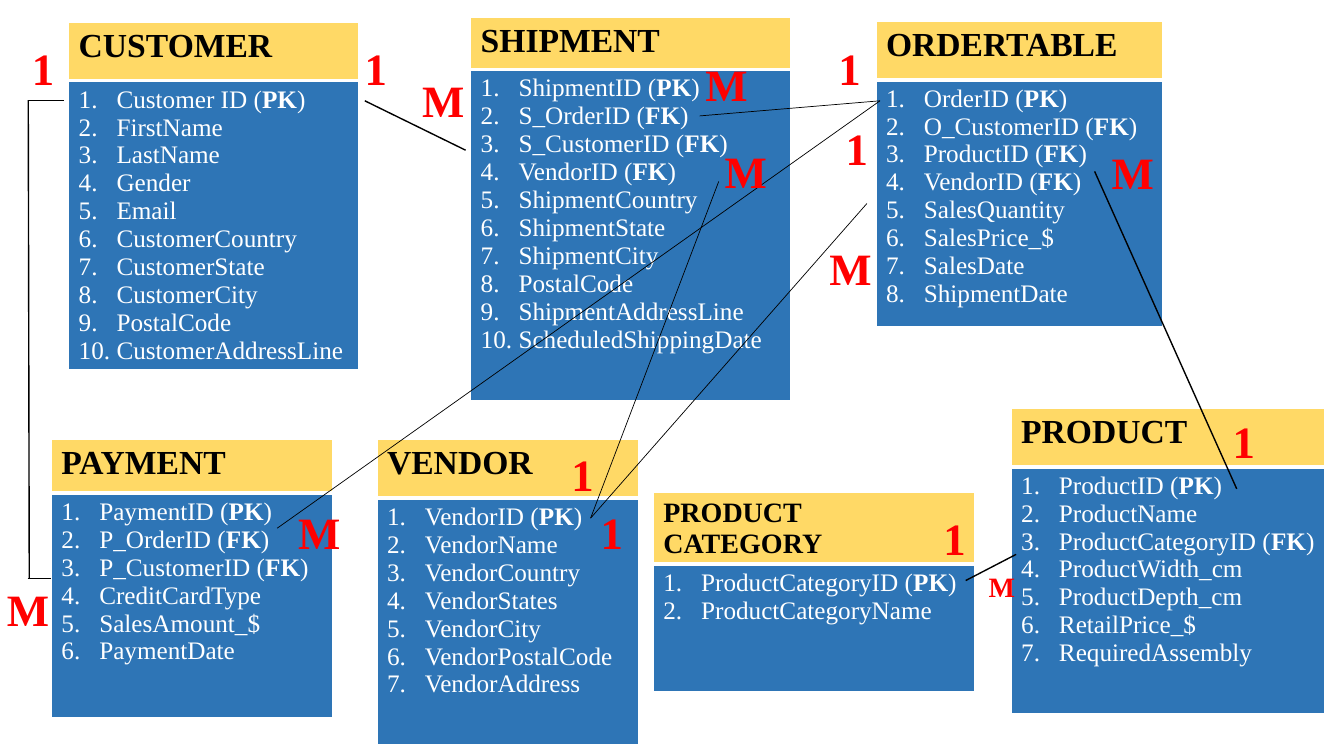
from lxml.etree import SubElement
from pptx import Presentation
from pptx.dml.color import RGBColor
from pptx.enum.shapes import MSO_CONNECTOR
from pptx.enum.text import MSO_AUTO_SIZE
from pptx.oxml.ns import qn
from pptx.util import Pt

FONT = "Times New Roman"
YELLOW = RGBColor(0xFF, 0xD9, 0x66)
BLUE = RGBColor(0x2E, 0x75, 0xB6)
WHITE = RGBColor(0xFF, 0xFF, 0xFF)
BLACK = RGBColor(0, 0, 0)
RED = RGBColor(0xFF, 0, 0)

ENTITIES = [
    ("CUSTOMER", 24, (49, 15.8, 207.4), (41.8, 176.4),
     "Customer ID:PK FirstName LastName Gender Email CustomerCountry "
     "CustomerState CustomerCity PostalCode CustomerAddressLine"),
    ("SHIPMENT", 24, (336.2, 12.2, 228.2), (37.4, 236.9),
     "ShipmentID:PK S_OrderID:FK S_CustomerID:FK VendorID:FK ShipmentCountry "
     "ShipmentState ShipmentCity PostalCode ShipmentAddressLine "
     "ScheduledShippingDate"),
    ("PAYMENT", 24, (36.7, 313.9, 200.9), (38.2, 160.6),
     "PaymentID:PK P_OrderID:FK P_CustomerID:FK CreditCardType "
     "SalesAmount_$ PaymentDate"),
    ("VENDOR", 24, (269.3, 313.9, 187.2), (41.8, 176.4),
     "VendorID:PK VendorName VendorCountry VendorStates VendorCity "
     "VendorPostalCode VendorAddress"),
    ("PRODUCT CATEGORY", 20, (466.6, 351.4, 229.7), (49.7, 90.7),
     "ProductCategoryID:PK ProductCategoryName"),
    ("ORDERTABLE", 24, (625.7, 15.1, 204.5), (41.8, 176.4),
     "OrderID:PK O_CustomerID:FK ProductID:FK VendorID:FK SalesQuantity "
     "SalesPrice_$ SalesDate ShipmentDate"),
    ("PRODUCT", 24, (722.2, 291.6, 223.9), (41.8, 176.4),
     "ProductID:PK ProductName ProductCategoryID:FK ProductWidth_cm "
     "ProductDepth_cm RetailPrice_$ RequiredAssembly"),
]

RELATIONS = [
    (45.4, 71.6, 19.8, 71.6, 1),
    (20.2, 71.6, 20.9, 413.3, 1),
    (19.8, 413.3, 36.7, 413.3, 1),
    (260.6, 72, 332.6, 107.3, 1),
    (198, 377.3, 628.6, 72, 0.5),
    (725.8, 396, 689.8, 414.7, 1),
    (421.9, 370.1, 513.4, 129.6, 0.5),
    (883.4, 349.2, 781.9, 122.4, 1),
    (499.7, 82.8, 628.6, 72, 0.5),
    (619.2, 145.4, 421.9, 370.1, 0.5),
]

ONES = [(253.4, 25.2), (401, 315.4), (15.8, 25.9), (873.4, 292.3),
        (666.7, 361.4), (596.9, 82.8), (591.8, 25.9), (421.9, 357.1)]
MANYS = [(-2.2, 411.8), (294.5, 48.2), (205.9, 357.1), (510.5, 99.4),
         (787, 100.1), (496.8, 36.7), (585.4, 168.5)]


def add_run(p, text, size, color, bold):
    r = p.add_run()
    r.text = text
    r.font.name = FONT
    r.font.size = Pt(size)
    r.font.bold = bold
    r.font.color.rgb = color


def style_cell(cell, color, top, bottom):
    tcPr = cell._tc.get_or_add_tcPr()
    for side, width in (("L", 1), ("R", 1), ("T", top), ("B", bottom)):
        ln = SubElement(tcPr, qn(f"a:ln{side}"), w=str(Pt(width)))
        fill = SubElement(ln, qn("a:solidFill"))
        SubElement(fill, qn("a:srgbClr"), val=str(WHITE))
    cell.fill.solid()
    cell.fill.fore_color.rgb = color


def number_paragraph(p):
    pPr = p._p.get_or_add_pPr()
    pPr.set("marL", str(Pt(27)))
    pPr.set("indent", str(-Pt(27)))
    SubElement(pPr, qn("a:buFont"), typeface="+mj-lt")
    SubElement(pPr, qn("a:buAutoNum"), type="arabicPeriod")


def add_field(p, field):
    number_paragraph(p)
    name, _, key = field.partition(":")
    if key:
        add_run(p, f"{name} (", 18, WHITE, False)
        add_run(p, key, 18, WHITE, True)
        add_run(p, ")", 18, WHITE, False)
    else:
        add_run(p, name, 18, WHITE, False)


def add_entity(s, name, size, place, heights, fields):
    left, top, width = place
    table = s.shapes.add_table(2, 1, Pt(left), Pt(top), Pt(width),
                               Pt(sum(heights))).table
    for row, height in zip(table.rows, heights):
        row.height = Pt(height)
    header, body = table.cell(0, 0), table.cell(1, 0)
    style_cell(header, YELLOW, 1, 3)
    style_cell(body, BLUE, 3, 1)
    add_run(header.text_frame.paragraphs[0], name, size, BLACK, True)
    tf = body.text_frame
    names = fields.replace("Customer ID", "Customer~ID").split()
    for i, field in enumerate(names):
        p = tf.add_paragraph() if i else tf.paragraphs[0]
        add_field(p, field.replace("~", " "))


def add_relation(s, x1, y1, x2, y2, weight):
    line = s.shapes.add_connector(MSO_CONNECTOR.STRAIGHT,
                                  Pt(x1), Pt(y1), Pt(x2), Pt(y2))
    line.line.color.rgb = BLACK
    line.line.width = Pt(weight)
    SubElement(line._element.spPr, qn("a:effectLst"))


def add_cardinality(s, text, left, top, width, height=46.1, size=32):
    sp = s.shapes.add_textbox(Pt(left), Pt(top), Pt(width), Pt(height))
    tf = sp.text_frame
    tf.word_wrap = True
    tf.auto_size = MSO_AUTO_SIZE.SHAPE_TO_FIT_TEXT
    add_run(tf.paragraphs[0], text, size, RED, True)


def main():
    prs = Presentation()
    prs.slide_width, prs.slide_height = Pt(960), Pt(540)
    s = prs.slides.add_slide(prs.slide_layouts[6])
    for entity in ENTITIES:
        add_entity(s, *entity)
    for relation in RELATIONS:
        add_relation(s, *relation)
    for left, top in ONES:
        add_cardinality(s, "1", left, top, 41)
    for left, top in MANYS:
        add_cardinality(s, "M", left, top, 36.7)
    add_cardinality(s, "M", 699.1, 403.2, 36.7, 31.7, 20)
    prs.save("out.pptx")


main()
